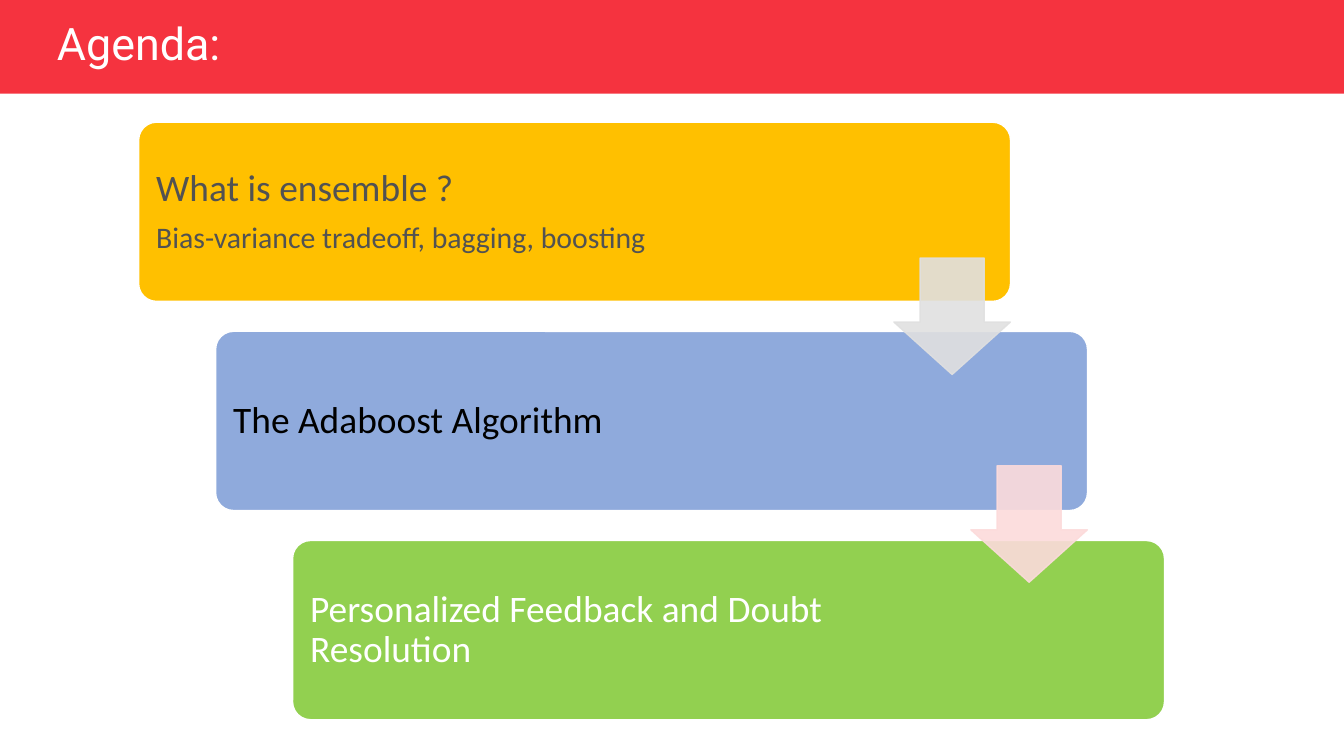
from lxml.etree import SubElement
from pptx import Presentation
from pptx.dml.color import RGBColor
from pptx.enum.shapes import MSO_SHAPE
from pptx.enum.text import MSO_ANCHOR, MSO_AUTO_SIZE, PP_ALIGN
from pptx.oxml.ns import qn
from pptx.util import Pt

COLORS = {
    "banner": "F5333F", "white": "FFFFFF", "black": "000000", "gray": "525252",
    "amber": "FFC000", "blue": "8FAADC", "green": "92D050",
    "gray_arrow": "E0E0E0", "pink_arrow": "FCDBDB",
}


def add_block(kind, left, top, width, height, fill, line=None):
    """Add a filled shape without shadow, outlined if a line colour is given."""
    block = slide.shapes.add_shape(kind, Pt(left), Pt(top), Pt(width), Pt(height))
    block.shadow.inherit = False
    block.fill.solid()
    block.fill.fore_color.rgb = RGBColor.from_string(COLORS[fill])
    if line:
        block.line.color.rgb = RGBColor.from_string(COLORS[line])
        block.line.width = Pt(1)
    else:
        block.line.fill.background()
    return block


def write(paragraph, text, size, color, font="Calibri", before=0):
    """Put formatted, left-aligned text into a paragraph."""
    paragraph.text = text
    paragraph.alignment = PP_ALIGN.LEFT
    paragraph.line_spacing = 0.9
    paragraph.space_before = Pt(before)
    paragraph.font.size = Pt(size)
    paragraph.font.name = font
    paragraph.font.color.rgb = RGBColor.from_string(COLORS[color])


prs = Presentation()
prs.slide_width, prs.slide_height = Pt(960), Pt(540)
slide = prs.slides.add_slide(prs.slide_layouts[5])

# Title on a red banner
agenda = slide.shapes.title
agenda.left, agenda.top, agenda.width, agenda.height = Pt(33.5), Pt(13), Pt(392), Pt(40)
agenda.text_frame.auto_size = MSO_AUTO_SIZE.NONE
agenda.text_frame.vertical_anchor = MSO_ANCHOR.MIDDLE
write(agenda.text_frame.paragraphs[0], "Agenda:", size=32, color="white", font="Roboto")
banner = add_block(MSO_SHAPE.RECTANGLE, 0, 0, 960, 67, "banner")
agenda.element.addprevious(banner.element)

# Agenda steps, each further right and down: fill, text colour, heading, detail
STEP_RIGHT = 55
steps = [
    ("amber", "gray", "What is ensemble ?", "Bias-variance tradeoff, bagging, boosting"),
    ("blue", "black", "The Adaboost Algorithm", None),
    ("green", "white", "Personalized Feedback and Doubt Resolution", None),
]
for i, (fill, color, heading, detail) in enumerate(steps):
    step = add_block(MSO_SHAPE.ROUNDED_RECTANGLE, 99 + STEP_RIGHT * i, 87.3 + 149.4 * i,
                     622.8, 128, fill, "white")
    step.adjustments[0] = 0.1
    frame = step.text_frame
    frame.word_wrap = True
    frame.vertical_anchor = MSO_ANCHOR.MIDDLE
    frame.margin_left = frame.margin_top = frame.margin_bottom = Pt(8.8)
    frame.margin_right = Pt(146)
    write(frame.paragraphs[0], heading, size=26.7, color=color)
    if detail:
        write(frame.add_paragraph(), detail, size=21.3, color=color, before=9.3)

# Translucent arrows between the steps
for i, tint in enumerate(["gray_arrow", "pink_arrow"]):
    arrow = add_block(MSO_SHAPE.DOWN_ARROW, 638.5 + STEP_RIGHT * i, 184.3 + 148.4 * i,
                      83.2, 83.2, tint, tint)
    arrow.adjustments[0] = 0.55
    arrow.adjustments[1] = 0.45
    for tint_color in arrow.element.spPr.iter(qn("a:srgbClr")):
        SubElement(tint_color, qn("a:alpha"), val="90000")

prs.save("out.pptx")
